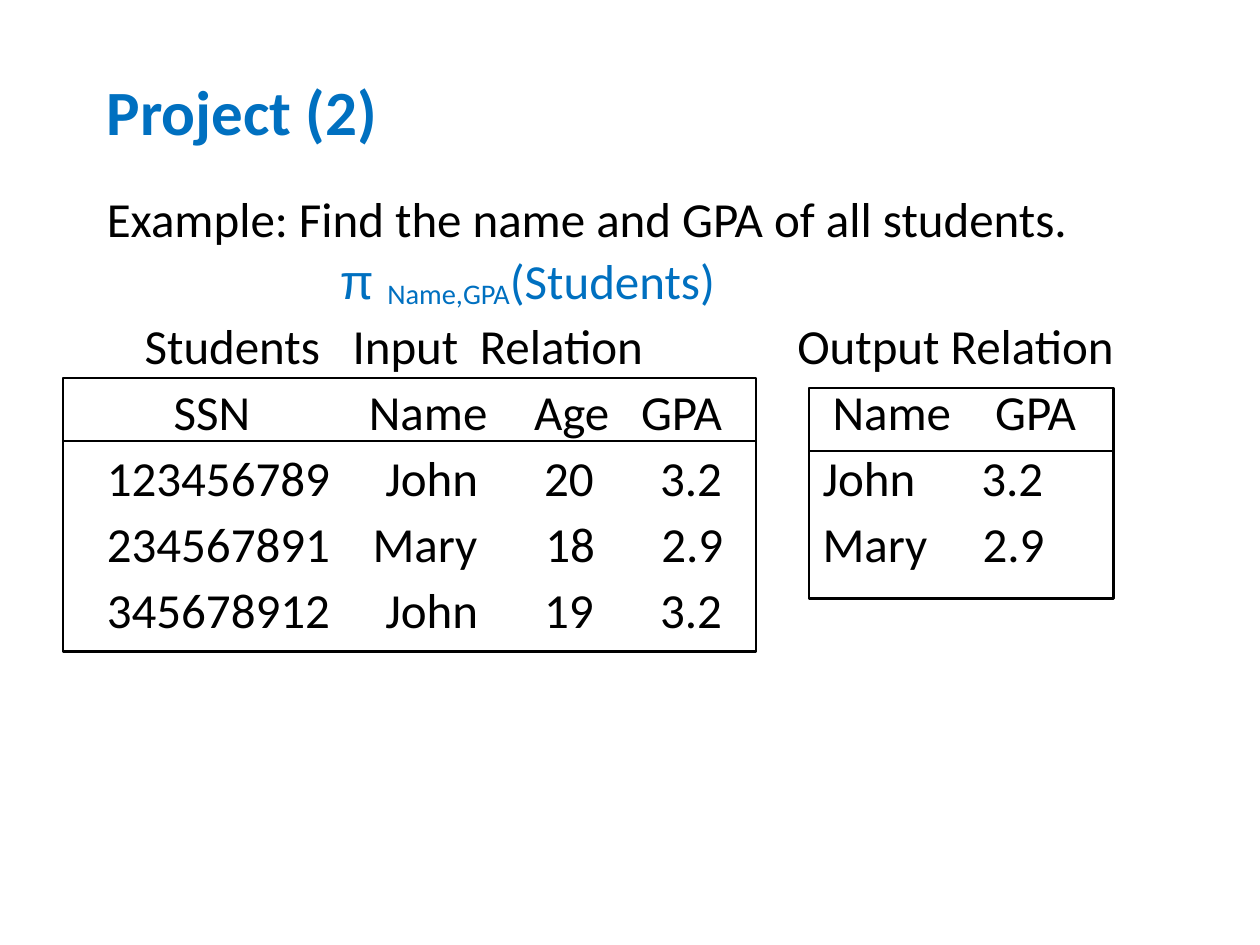
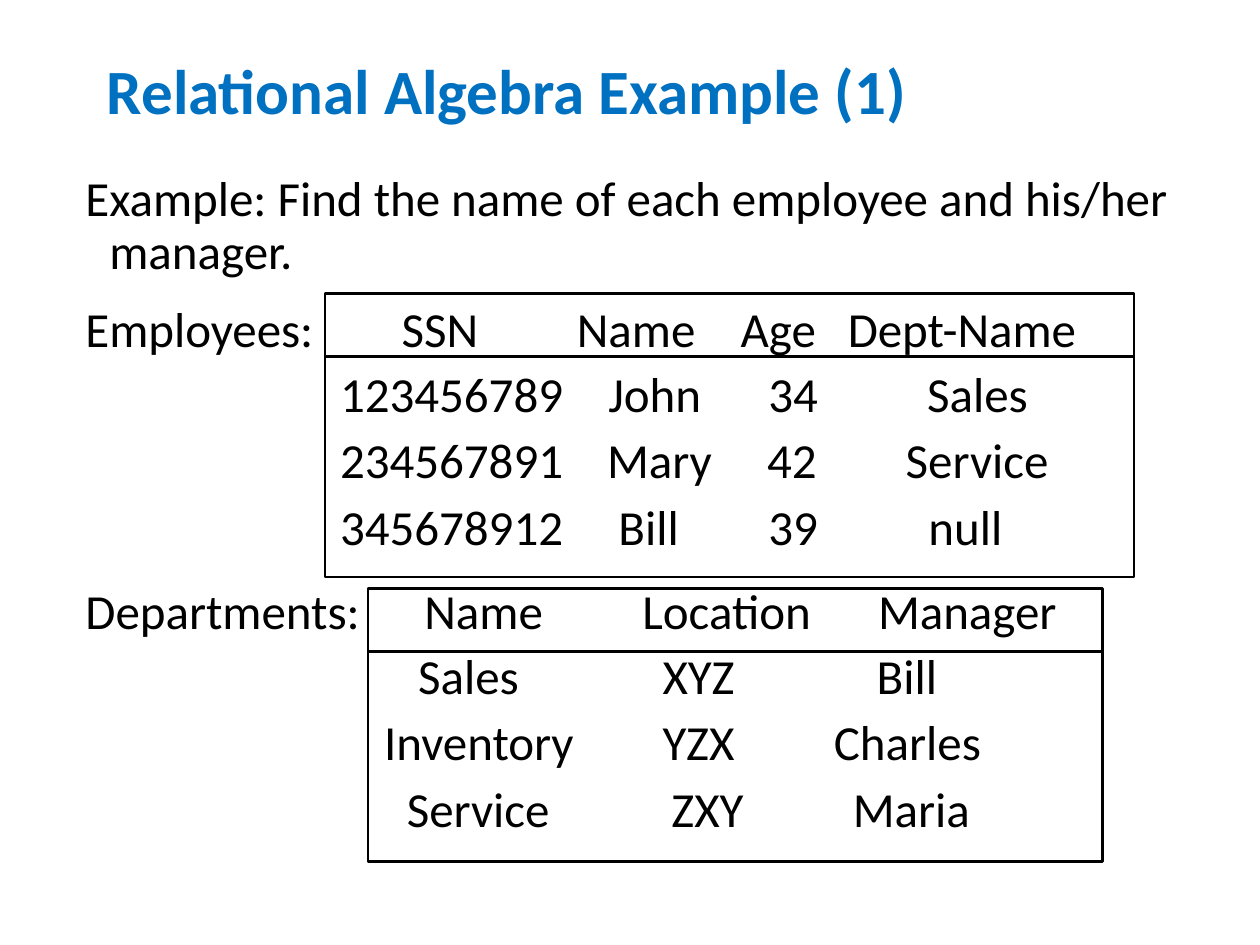
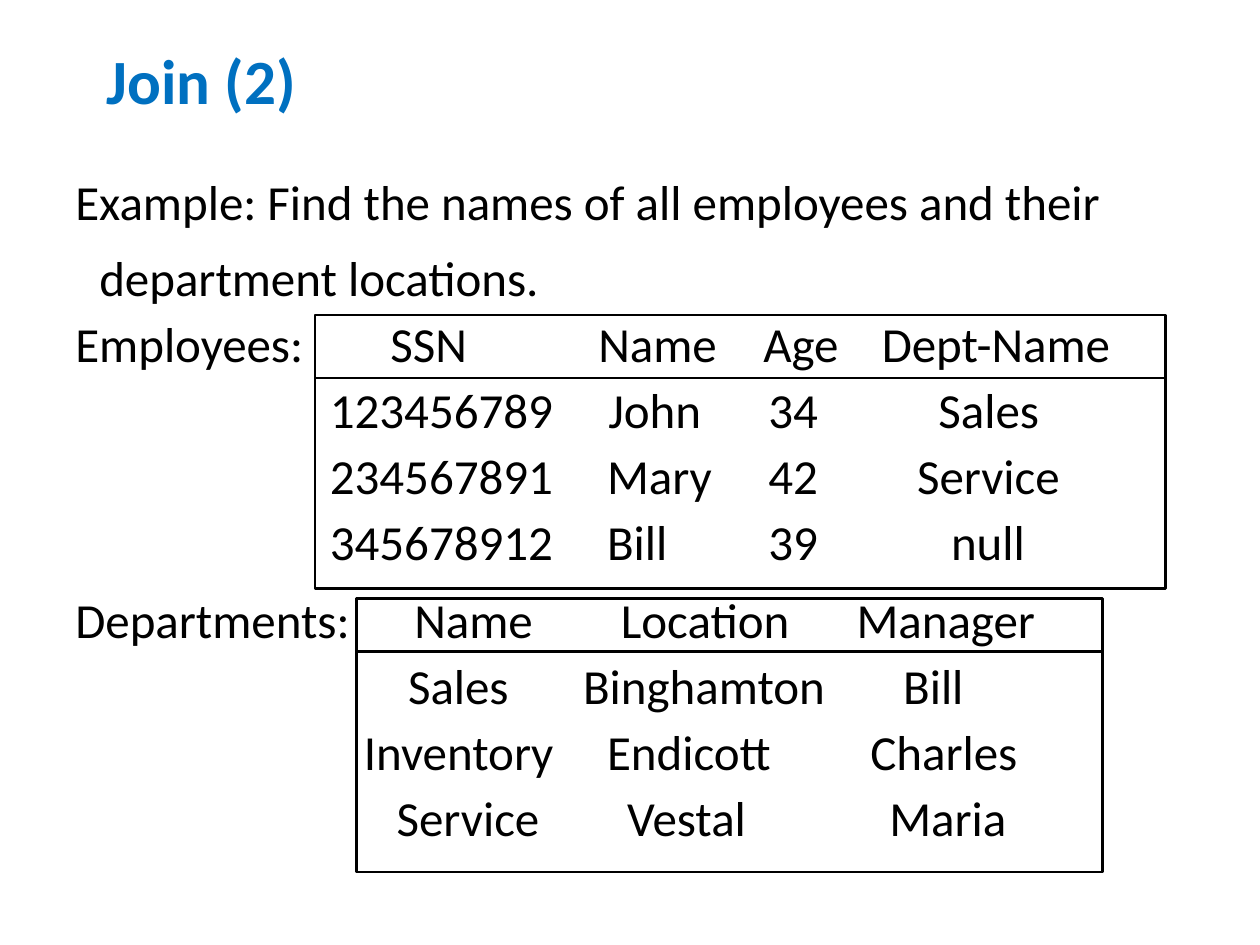
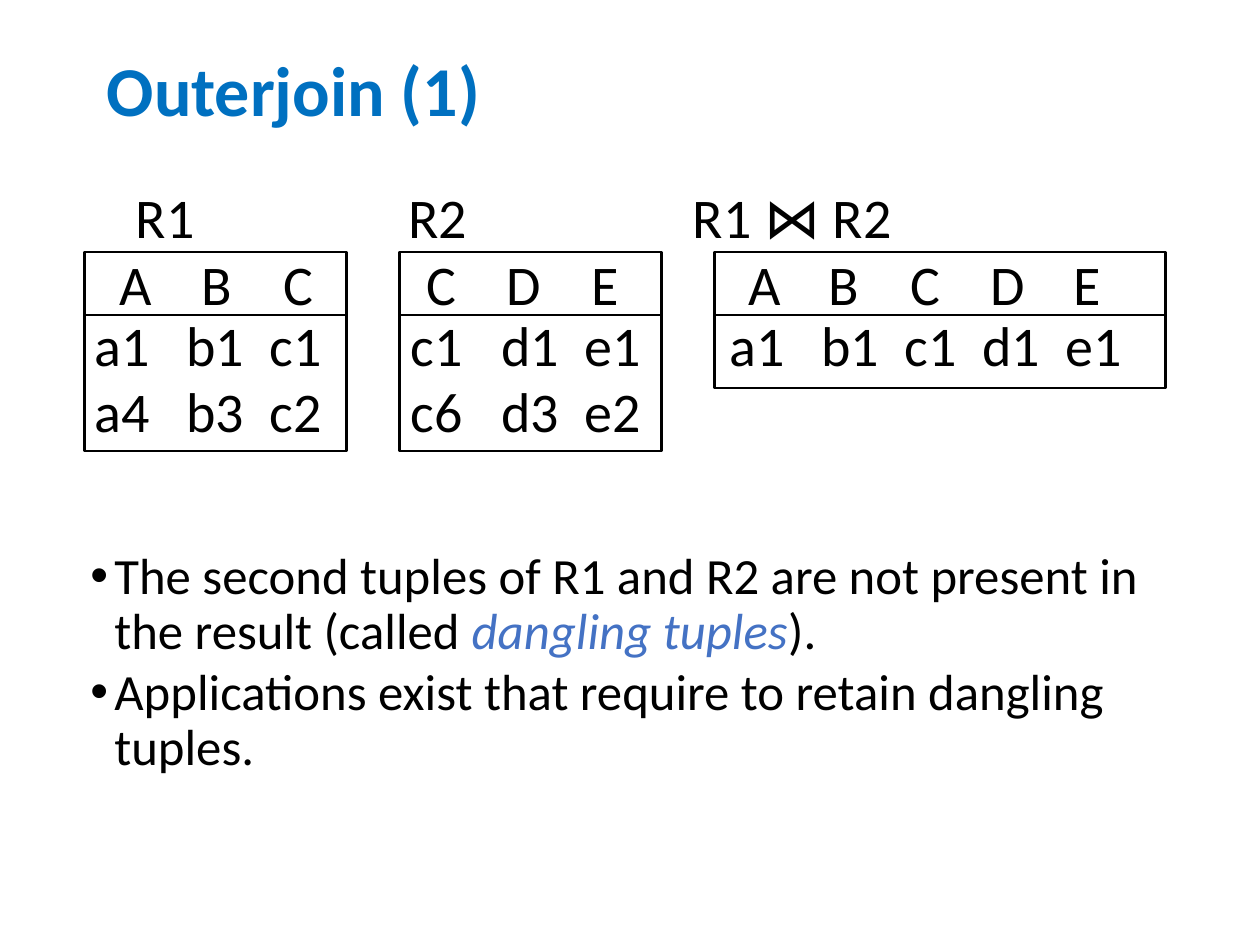
import pptx
import pptx.dml.color
import pptx.enum.shapes
import pptx.enum.text
import pptx.oxml.ns
import pptx.util
from lxml import etree

Inches = pptx.util.Inches
Pt = pptx.util.Pt
RGB = pptx.dml.color.RGBColor
BLACK = RGB(0x00, 0x00, 0x00)
BLUE = RGB(0x00, 0x70, 0xC0)
ACCENT = RGB(0x44, 0x72, 0xC4)
FONT = "Calibri"
HANG = 0.19


def add_sub(parent, tag, **attrs):
    return etree.SubElement(parent, pptx.oxml.ns.qn(tag), attrs)


def add_box(slide, left, top, width, height):
    box = slide.shapes.add_textbox(*map(Inches, (left, top, width, height)))
    box.text_frame.word_wrap = True
    return box.text_frame


def set_font(font, size, color=BLACK, bold=None):
    font.name, font.size, font.bold = FONT, Pt(size), bold
    font.color.rgb = color


def add_para(frame, size, gap, before=7.5, color=BLACK, indent=0, stops=(),
             bullet=False):
    """Start a paragraph; indent is its left margin with a hanging first line."""
    first = frame.paragraphs[0]
    para = frame.add_paragraph() if first.runs else first
    para.line_spacing, para.space_before = gap, Pt(before)
    props = para._p.get_or_add_pPr()
    # An explicit indent would cancel the tab stops when drawn
    if indent:
        props.set("marL", str(Inches(indent)))
        props.set("indent", str(-Inches(HANG)))
    if bullet:
        add_sub(props, "a:buFont", typeface="Arial")
        add_sub(props, "a:buChar", char="•")
    if stops:
        tabs = add_sub(props, "a:tabLst")
        for stop in stops:
            add_sub(tabs, "a:tab", pos=str(Inches(stop)), algn="l")
    set_font(para.font, size, color)
    return para


def add_run(para, text):
    run = para.add_run()
    run.text = text
    return run


def add_row(frame, stops, text, size=28, gap=0.9):
    """Cells split by | stand at the stops; a stop of 0 is the left edge."""
    para = add_para(frame, size, gap, stops=[s for s in stops if s])
    cells = text.split("|")
    add_run(para, ("\t" if stops[0] else "") + "\t".join(cells))


def add_rows(frame, rows, size=28):
    for gap, stops, text in rows:
        add_row(frame, stops, text, size, gap)


def add_title(slide, text, top=0.33, height=0.83, size=36):
    frame = add_box(slide, 0.75, top, 8.5, height)
    frame.vertical_anchor = pptx.enum.text.MSO_ANCHOR.MIDDLE
    para = frame.paragraphs[0]
    para.line_spacing = 0.9
    set_font(para.font, size, BLUE, True)
    add_run(para, text)


def add_frame(slide, left, top, width, height, head=0.5):
    """Outline of a relation, with a rule under its header row."""
    rect = slide.shapes.add_shape(
        pptx.enum.shapes.MSO_SHAPE.RECTANGLE,
        *map(Inches, (left, top, width, height)))
    rect.shadow.inherit = False
    rect.fill.background()
    rule = slide.shapes.add_connector(
        pptx.enum.shapes.MSO_CONNECTOR.STRAIGHT,
        *map(Inches, (left, top + head, left + width, top + head)))
    add_sub(rule._element.spPr, "a:effectLst")
    for part in (rect, rule):
        part.line.color.rgb = BLACK
        part.line.width = Pt(1.5)


def draw_project(slide):
    add_title(slide, "Project (2)", top=0.5)
    frame = add_box(slide, 0.75, 1.5, 8.5, 5.17)
    add_row(frame, [0], "Example: Find the name and GPA of all students.")
    # Formula
    para = add_para(frame, 28, 0.8, color=BLUE, stops=[1.85])
    add_run(para, "\tπ ").font.name = "Arial"
    low = add_run(para, "Name,GPA")
    low._r.get_or_add_rPr().set("baseline", "-10000")
    add_run(para, "(Students)")
    # Input and output relations
    add_rows(frame, [
        (0.9, [0.3, 1.95, 2.96, 5.48], "Students|Input|Relation|Output Relation"),
        (0.9, [0.53, 2.08, 3.39, 4.24, 5.76, 7.05], "SSN|Name|Age|GPA|Name|GPA"),
        (0.9, [0, 2.21, 3.47, 4.39, 5.68, 6.94], "123456789|John|20|3.2|John|3.2"),
        (0.9, [0, 2.11, 3.48, 4.4, 5.68, 6.95], "234567891|Mary|18|2.9|Mary|2.9"),
        (0.9, [0, 2.21, 3.47, 4.39], "345678912|John|19|3.2"),
    ])
    add_frame(slide, 0.5, 3, 5.5, 2.17)
    add_frame(slide, 6.42, 3.08, 2.42, 1.67)


def draw_staff(slide, title, task, box, gap, rows, frames):
    """Slide with a task above the Employees and Departments relations."""
    add_title(slide, **title)
    frame = add_box(slide, *box)
    add_run(add_para(frame, 28, gap, indent=HANG), task)
    add_rows(frame, rows)
    for place in frames:
        add_frame(slide, *place)


def draw_example(slide):
    draw_staff(
        slide, {"text": "Relational Algebra Example (1)"},
        "Example: Find the name of each employee and his/her manager.",
        (0.58, 1.33, 8.92, 5.83), 0.9,
        [
            (1.1, [0, 2.51, 3.9, 5.2, 6.05], "Employees:|SSN|Name|Age|Dept-Name"),
            (0.9, [2.02, 4.15, 5.42, 6.68], "123456789|John|34|Sales"),
            (0.9, [2.02, 4.14, 5.41, 6.51], "234567891|Mary|42|Service"),
            (0.9, [2.02, 4.23, 5.42, 6.69], "345678912|Bill|39|null"),
            (1.2, [0, 2.69, 4.42, 6.29], "Departments:|Name|Location|Manager"),
            (0.9, [2.64, 4.58, 6.28], "Sales|XYZ|Bill"),
            (0.9, [2.37, 4.58, 5.94], "Inventory|YZX|Charles"),
            (0.9, [2.55, 4.65, 6.09], "Service|ZXY|Maria"),
        ],
        [(2.58, 2.33, 6.42, 2.25), (2.92, 4.67, 5.83, 2.17)])


def draw_join(slide):
    draw_staff(
        slide, {"text": "Join (2)", "height": 0.67},
        "Example: Find the names of all employees and their department locations.",
        (0.5, 1.17, 9.17, 6.08), 1.3,
        [
            (0.9, [0, 2.5, 4.15, 5.46, 6.4], "Employees:|SSN|Name|Age|Dept-Name"),
            (0.9, [2.02, 4.23, 5.5, 6.85], "123456789|John|34|Sales"),
            (0.9, [2.02, 4.22, 5.5, 6.68], "234567891|Mary|42|Service"),
            (0.9, [2.02, 4.22, 5.5, 6.95], "345678912|Bill|39|null"),
            (1.1, [0, 2.69, 4.33, 6.2], "Departments:|Name|Location|Manager"),
            (0.9, [2.64, 4.03, 6.57], "Sales|Binghamton|Bill"),
            (0.9, [2.29, 4.22, 6.31], "Inventory|Endicott|Charles"),
            (0.9, [2.55, 4.38, 6.46], "Service|Vestal|Maria"),
        ],
        [(2.5, 2.5, 6.75, 2.17), (2.83, 4.75, 5.92, 2.17, 0.42)])


def draw_outer(slide):
    add_title(slide, "Outerjoin (1)", size=40)
    frame = add_box(slide, 0.25, 1.5, 9.5, 5.58)
    # Relations side by side
    cols = [0.4, 1.13, 1.79, 2.91, 3.63, 4.29, 5.44, 6.17, 6.83, 7.45, 8.11]
    heads = [0.6, 1.25, 1.9, 3.04, 3.67, 4.35, 5.59, 6.23, 6.88, 7.51, 8.17]
    add_rows(frame, [
        (0.8, [0.73, 2.89, 5.15], "R1|R2|R1 ⋈ R2"),
        (0.8, heads, "A|B|C|C|D|E|A|B|C|D|E"),
        (0.7, cols, "a1|b1|c1|c1|d1|e1|a1|b1|c1|d1|e1"),
        (0.8, cols[:6], "a4|b3|c2|c6|d3|e2"),
    ], size=32)
    # Remarks
    para = add_para(frame, 29, 0.9, before=61.5, indent=0.56, bullet=True)
    add_run(para, "The second tuples of R1 and R2 are not present in "
                  "the result (called ")
    term = add_run(para, "dangling tuples").font
    term.italic, term.color.rgb = True, ACCENT
    add_run(para, ").")
    para = add_para(frame, 29, 0.9, before=3.7, indent=0.56, bullet=True)
    add_run(para, "Applications exist that require to retain dangling tuples.")
    for left, width, height in ((0.67, 2.08, 1.58), (3.17, 2.08, 1.58),
                                (5.67, 3.58, 1.08)):
        add_frame(slide, left, 2, width, height)


def main():
    deck = pptx.Presentation()
    deck.slide_width, deck.slide_height = Inches(10), Inches(7.5)
    for draw in (draw_project, draw_example, draw_join, draw_outer):
        draw(deck.slides.add_slide(deck.slide_layouts[6]))
    deck.save("out.pptx")


if __name__ == "__main__":
    main()
